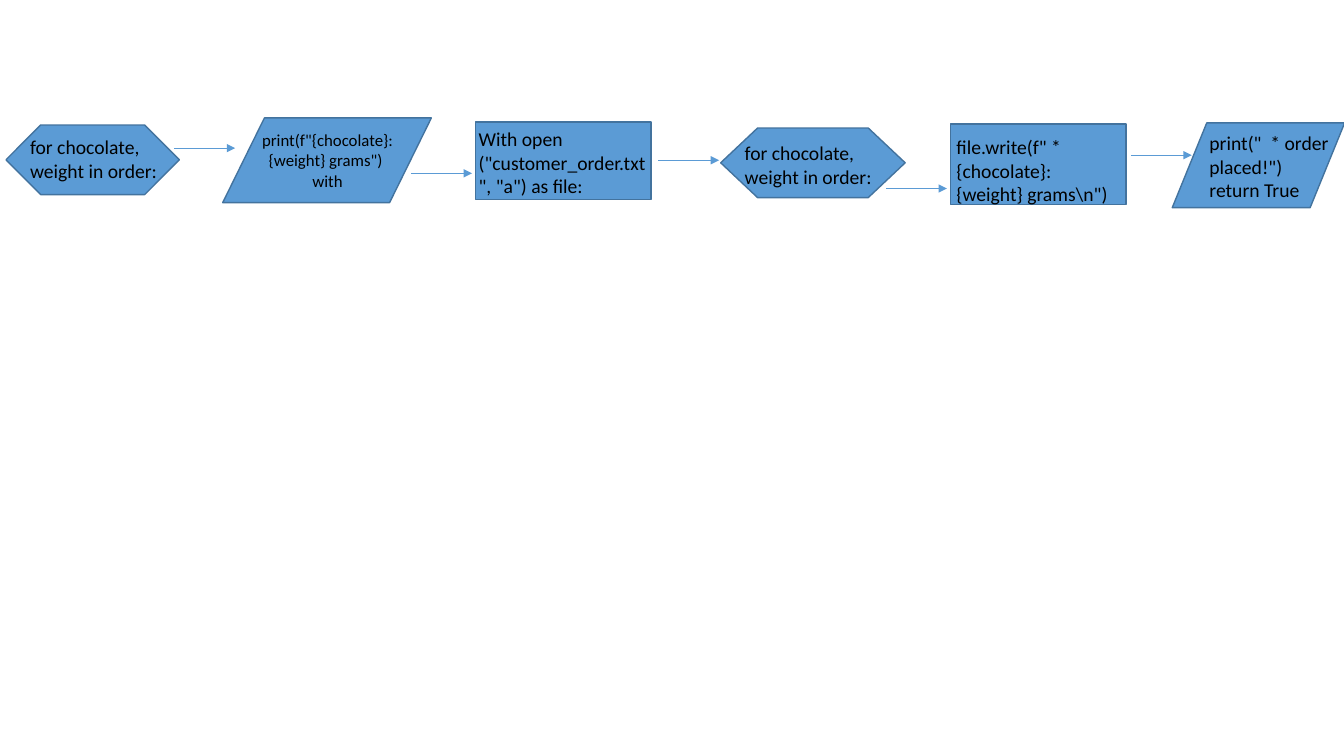
from lxml import etree
from pptx import Presentation
from pptx.dml.color import RGBColor
from pptx.enum.shapes import MSO_CONNECTOR, MSO_SHAPE
from pptx.enum.text import MSO_AUTO_SIZE, PP_ALIGN
from pptx.oxml.ns import qn
from pptx.util import Inches, Pt

LOOP = MSO_SHAPE.FLOWCHART_PREPARATION
OUTPUT = MSO_SHAPE.FLOWCHART_DATA
PROCESS = MSO_SHAPE.RECTANGLE
STRAIGHT = MSO_CONNECTOR.STRAIGHT
LEFT = PP_ALIGN.LEFT
CENTER = PP_ALIGN.CENTER
GROW = MSO_AUTO_SIZE.SHAPE_TO_FIT_TEXT

BLUE = RGBColor(0x5B, 0x9B, 0xD5)
DARK_BLUE = RGBColor(0x43, 0x73, 0x9E)
BLACK = RGBColor(0, 0, 0)
FONT = "Calibri"

SLIDE_WIDTH = Inches(13.33)
SLIDE_HEIGHT = Inches(7.5)
COLUMN = SLIDE_WIDTH / 40
ROW = SLIDE_HEIGHT / 30
ARROW_COLUMNS = 1.81

LOOP_TEXT = "for chocolate, weight in order:"
STEPS = [
    (LOOP, (0.18, 4.96, 5.16, 2.76), (0.6, 5.16, 4.68, 2.28),
     LOOP_TEXT, 14, LEFT),
    (OUTPUT, (6.63, 4.68, 6.21, 3.36), (7.32, 4.96, 4.86, 2.84),
     'print(f"{chocolate}: {weight} grams")  with', 12, CENTER),
    (PROCESS, (14.16, 4.84, 5.22, 3.08), (13.95, 4.84, 5.58, 3.24),
     'With open ("customer_order.txt", "a") as file:', 14, LEFT),
    (LOOP, (21.45, 5.08, 5.49, 2.76), (21.87, 5.4, 5.13, 2.28),
     LOOP_TEXT, 14, LEFT),
    (PROCESS, (28.29, 4.92, 5.22, 3.2), (28.17, 5.16, 5.13, 3.24),
     'file.write(f" * {chocolate}: {weight} grams\\n")', 14, LEFT),
    (OUTPUT, (34.89, 4.88, 5.13, 3.36), (35.7, 5, 5.19, 3.24),
     'print("  * order placed!")\nreturn True', 14, LEFT),
]
ARROW_STARTS = [(5.19, 5.88), (12.24, 6.88), (19.59, 6.36),
                (26.37, 7.48), (33.66, 6.16)]


def place(left, top, width, height):
    return (round(left * COLUMN), round(top * ROW),
            round(width * COLUMN), round(height * ROW))


def add_symbol(page, kind, area):
    symbol = page.shapes.add_shape(kind, *place(*area))
    symbol.shadow.inherit = False
    symbol.fill.solid()
    symbol.fill.fore_color.rgb = BLUE
    symbol.line.color.rgb = DARK_BLUE
    symbol.line.width = Pt(1)


def add_code(page, area, text, size, alignment):
    box = page.shapes.add_textbox(*place(*area))
    frame = box.text_frame
    frame.word_wrap = True
    frame.auto_size = GROW
    frame.text = text
    for para in frame.paragraphs:
        para.alignment = alignment
        for span in para.runs:
            span.font.name = FONT
            span.font.size = Pt(size)
            span.font.color.rgb = BLACK


def add_arrow(page, column, row):
    left, top, width, height = place(column, row, ARROW_COLUMNS, 0)
    arrow = page.shapes.add_connector(
        STRAIGHT, left, top, left + width, top + height)
    arrow.line.color.rgb = BLUE
    arrow.line.width = Pt(0.5)
    outline = arrow.line._get_or_add_ln()
    etree.SubElement(outline, qn("a:tailEnd"), type="triangle")
    etree.SubElement(outline.getparent(), qn("a:effectLst"))


def main():
    deck = Presentation()
    deck.slide_width = SLIDE_WIDTH
    deck.slide_height = SLIDE_HEIGHT
    page = deck.slides.add_slide(deck.slide_layouts[6])
    for kind, symbol_area, text_area, text, size, alignment in STEPS:
        add_symbol(page, kind, symbol_area)
        add_code(page, text_area, text, size, alignment)
    for column, row in ARROW_STARTS:
        add_arrow(page, column, row)
    deck.save("out.pptx")


if __name__ == "__main__":
    main()
